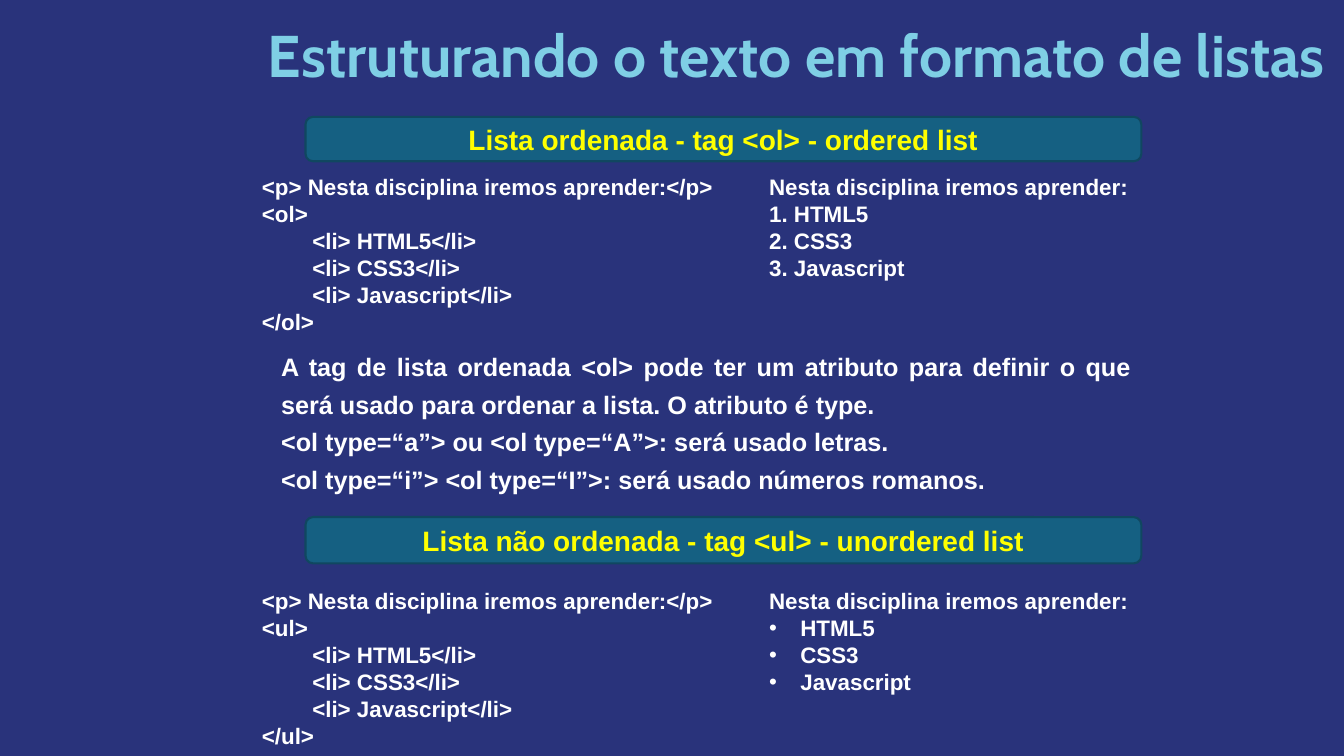
from dataclasses import dataclass

from lxml.etree import SubElement
from pptx import Presentation
from pptx.dml.color import RGBColor as Rgb
from pptx.enum.shapes import MSO_SHAPE as Shape
from pptx.enum.text import MSO_ANCHOR as Anchor, PP_ALIGN as Align
from pptx.oxml.ns import qn
from pptx.util import Inches, Pt


@dataclass(frozen=True)
class Theme:
    back: str = "29337B"
    title: str = "7FCFE5"
    bar: str = "156082"
    edge: str = "104760"
    head: str = "FFFF00"
    body: str = "FFFFFF"
    sans: str = "Arial"
    show: str = "Cabin"
    title_size: int = 42
    head_size: int = 20
    note_size: int = 18
    list_size: int = 16


@dataclass(frozen=True)
class Box:
    left: float
    top: float
    width: float
    height: float


@dataclass(frozen=True)
class Style:
    size: int
    color: str
    font: str
    align: Align = Align.JUSTIFY
    gap: float = 1.0
    anchor: Anchor = Anchor.TOP


@dataclass(frozen=True)
class Part:
    """One kind of list: its bar, its source code and its result."""
    head: str
    tag: str
    bar: Box
    top: float
    items: tuple[str, ...]
    dots: bool = False


T = Theme()
TITLE = Style(T.title_size, T.title, T.show, Align.LEFT, 0.9, Anchor.MIDDLE)
HEAD = Style(T.head_size, T.head, T.sans, Align.CENTER, anchor=Anchor.MIDDLE)
NOTE = Style(T.note_size, T.body, T.sans, gap=1.25)
LIST = Style(T.list_size, T.body, T.sans)

INTRO = "Nesta disciplina iremos aprender:"
NAMES = ("HTML5", "CSS3", "Javascript")
NOTES = [
    "A tag de lista ordenada <ol> pode ter um atributo para definir o que "
    "será usado para ordenar a lista. O atributo é type.",
    "<ol type=“a”> ou <ol type=“A”>: será usado letras.",
    "<ol type=“i”> <ol type=“I”>: será usado números romanos.",
]
PARTS = [
    Part("Lista ordenada - tag <ol> - ordered list", "ol",
         Box(3.03, 1.16, 8.29, 0.44), 1.67,
         tuple(f"{n}. {name}" for n, name in enumerate(NAMES, 1))),
    Part("Lista não ordenada - tag <ul> - unordered list", "ul",
         Box(3.03, 5.13, 8.29, 0.46), 5.78, NAMES, dots=True),
]


def place(box: Box) -> list[int]:
    return [Inches(n) for n in (box.left, box.top, box.width, box.height)]


def add_dot(para) -> None:
    """Give a paragraph a round bullet with a hanging indent."""
    props = para._p.get_or_add_pPr()
    props.set("marL", str(Inches(0.31)))
    props.set("indent", str(-Inches(0.31)))
    SubElement(props, qn("a:buFont"), typeface=T.sans)
    SubElement(props, qn("a:buChar"), char="•")


def write(shape, lines: list[str], style: Style, dots: bool = False) -> None:
    """Fill a shape with lines; dots puts bullets on all but the first."""
    frame = shape.text_frame
    frame.word_wrap = True
    frame.vertical_anchor = style.anchor
    frame.text = "\n".join(lines)
    for row, para in enumerate(frame.paragraphs):
        para.alignment = style.align
        para.line_spacing = style.gap
        if dots and row:
            add_dot(para)
        for run in para.runs:
            font = run.font
            font.name, font.size, font.bold = style.font, Pt(style.size), True
            font.color.rgb = Rgb.from_string(style.color)


def add_text(slide, box: Box, lines: list[str], style: Style,
             dots: bool = False) -> None:
    write(slide.shapes.add_textbox(*place(box)), lines, style, dots)


def add_bar(slide, box: Box, text: str) -> None:
    bar = slide.shapes.add_shape(Shape.ROUNDED_RECTANGLE, *place(box))
    bar.shadow.inherit = False
    bar.fill.solid()
    bar.fill.fore_color.rgb = Rgb.from_string(T.bar)
    bar.line.color.rgb = Rgb.from_string(T.edge)
    bar.line.width = Pt(1.5)
    write(bar, [text], HEAD)


def add_part(slide, part: Part) -> None:
    add_bar(slide, part.bar, part.head)
    code = [f"<p> {INTRO}</p>", f"<{part.tag}>",
            *(f"\t<li> {name}</li>" for name in NAMES), f"</{part.tag}>"]
    add_text(slide, Box(2.5, part.top, 5.03, 1.72), code, LIST)
    add_text(slide, Box(7.53, part.top, 3.78, 1.21),
             [INTRO, *part.items], LIST, part.dots)


def main() -> None:
    deck = Presentation()
    deck.slide_width, deck.slide_height = Inches(13.33), Inches(7.5)
    slide = deck.slides.add_slide(deck.slide_layouts[6])
    slide.background.fill.solid()
    slide.background.fill.fore_color.rgb = Rgb.from_string(T.back)

    # Title
    add_text(slide, Box(2.56, 0.05, 10.77, 1.05),
             ["Estruturando o texto em formato de listas"], TITLE)
    # Ordered and unordered lists
    for part in PARTS:
        add_part(slide, part)
    # Note on the type attribute
    add_text(slide, Box(2.69, 3.36, 8.63, 1.56), NOTES, NOTE)

    deck.save("out.pptx")


if __name__ == "__main__":
    main()
